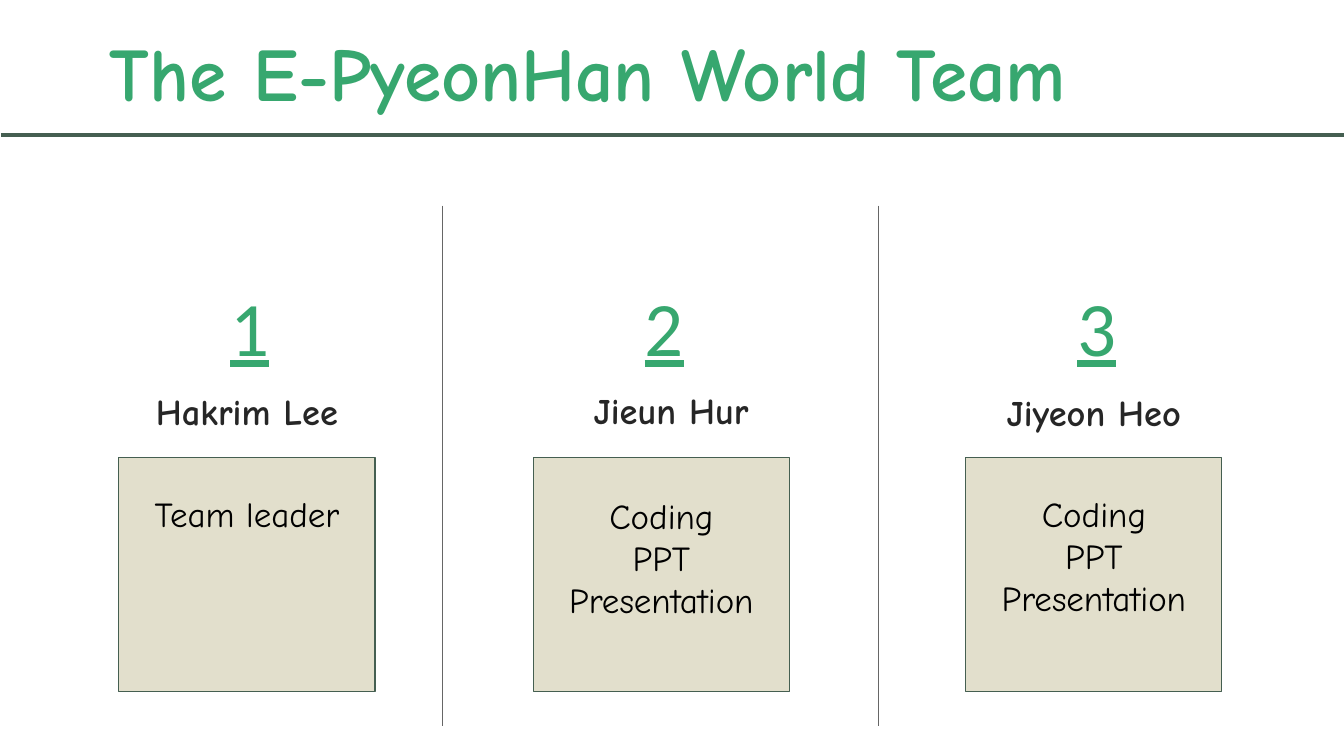
"""Build the team introduction slide with three member columns."""
from pptx import Presentation
from pptx.dml.color import RGBColor
from pptx.enum import shapes, text
from pptx.oxml import ns, xmlchemy
from pptx.util import Inches, Pt

TITLE = "The E-PyeonHan World Team"
TOP, MIDDLE = text.MSO_ANCHOR.TOP, text.MSO_ANCHOR.MIDDLE
LEFT, CENTER = text.PP_ALIGN.LEFT, text.PP_ALIGN.CENTER
MEMBERS = [
    {"name": "Hakrim Lee", "roles": ["Team leader"], "left": 1.18, "roles_top": 4.84,
     "name_top": 3.9, "anchor": MIDDLE, "align": CENTER, "indent": 0, "spacing": 0.85},
    {"name": "Jieun Hur", "roles": ["Coding", "PPT", "Presentation"], "left": 5.29, "roles_top": 4.86,
     "name_top": 3.9, "anchor": MIDDLE, "align": LEFT, "indent": 0.5, "spacing": 0.75},
    {"name": "Jiyeon Heo", "roles": ["Coding", "PPT", "Presentation"], "left": 9.58, "roles_top": 4.84,
     "name_top": 3.89, "anchor": TOP, "align": CENTER, "indent": 0, "spacing": 0.85},
]
RULES = [
    (0.01, 1.34, 13.33, 1.34, "green", 2.25),
    (4.39, 2.04, 4.39, 7.2, "gray", 0.75),
    (8.71, 2.04, 8.71, 7.2, "gray", 0.75),
]
CARD_WIDTH, CARD_TOP, CARD_HEIGHT = 2.54, 4.54, 2.32
NUMBER_WIDTH, NUMBER_TOP, NUMBER_HEIGHT = 0.53, 2.67, 1.13
LINE_HEIGHT = 0.42

GREEN = RGBColor(0x37, 0xA7, 0x6F)
DARK_GREEN = RGBColor(0x45, 0x5F, 0x51)
GRAY = RGBColor(0x66, 0x66, 0x66)
BEIGE = RGBColor(0xE2, 0xDF, 0xCC)
INK = RGBColor(0x26, 0x26, 0x26)
BLACK = RGBColor(0, 0, 0)
RULE_COLORS = {"green": DARK_GREEN, "gray": GRAY}
FONT, NUMBER_FONT = "Comic Neue", "Calibri"


def add_text(slide, box, lines, size, color, font=FONT, bold=False, underline=False,
             align=CENTER, anchor=TOP, spacing=1.0, indent=0, inset=0.05):
    shape = slide.shapes.add_textbox(*map(Inches, box))
    frame = shape.text_frame
    frame.word_wrap = True
    frame.vertical_anchor = anchor
    frame.margin_left = frame.margin_right = Inches(0.1)
    frame.margin_top = frame.margin_bottom = Inches(inset)
    frame.text = "\n".join(lines)
    for paragraph in frame.paragraphs:
        paragraph.alignment = align
        paragraph.line_spacing = spacing
        if indent:
            properties = paragraph._p.get_or_add_pPr()
            properties.set("marL", str(Inches(indent)))
            properties.set("indent", "0")
        for run in paragraph.runs:
            run.font.name = font
            run.font.size = Pt(size)
            run.font.bold = bold
            run.font.underline = underline
            run.font.color.rgb = color


def add_card(slide, left):
    card = slide.shapes.add_shape(shapes.MSO_SHAPE.RECTANGLE, Inches(left), Inches(CARD_TOP),
                                  Inches(CARD_WIDTH), Inches(CARD_HEIGHT))
    card.shadow.inherit = False
    card.fill.solid()
    card.fill.fore_color.rgb = BEIGE
    card.line.color.rgb = DARK_GREEN
    card.line.width = Pt(0.75)


def add_rule(slide, x1, y1, x2, y2, color, width):
    rule = slide.shapes.add_connector(shapes.MSO_CONNECTOR.STRAIGHT, *map(Inches, (x1, y1, x2, y2)))
    rule.line.color.rgb = RULE_COLORS[color]
    rule.line.width = Pt(width)
    rule._element.spPr.append(xmlchemy.OxmlElement("a:effectLst"))


def add_member(slide, number, member):
    left = member["left"]
    roles = member["roles"]
    add_card(slide, left)
    add_text(slide, (left, member["name_top"], CARD_WIDTH, 0.43), [member["name"]], 26, INK, bold=True,
             align=member["align"], anchor=member["anchor"], spacing=member["spacing"],
             indent=member["indent"])
    add_text(slide, (left, member["roles_top"], CARD_WIDTH, 0.1 + LINE_HEIGHT * len(roles)),
             roles, 25, BLACK)
    number_left = left + (CARD_WIDTH - NUMBER_WIDTH) / 2
    add_text(slide, (number_left, NUMBER_TOP, NUMBER_WIDTH, NUMBER_HEIGHT), [str(number)], 55, GREEN,
             font=NUMBER_FONT, underline=True, align=LEFT, inset=0.1)


def main():
    presentation = Presentation()
    presentation.slide_width, presentation.slide_height = Inches(13.33), Inches(7.5)
    slide = presentation.slides.add_slide(presentation.slide_layouts[6])
    add_text(slide, (0.99, 0.01, 11.78, 1.54), [TITLE], 54, GREEN, bold=True,
             align=LEFT, anchor=MIDDLE, spacing=0.85)
    for number, member in enumerate(MEMBERS, 1):
        add_member(slide, number, member)
    for rule in RULES:
        add_rule(slide, *rule)
    presentation.save("out.pptx")


if __name__ == "__main__":
    main()
